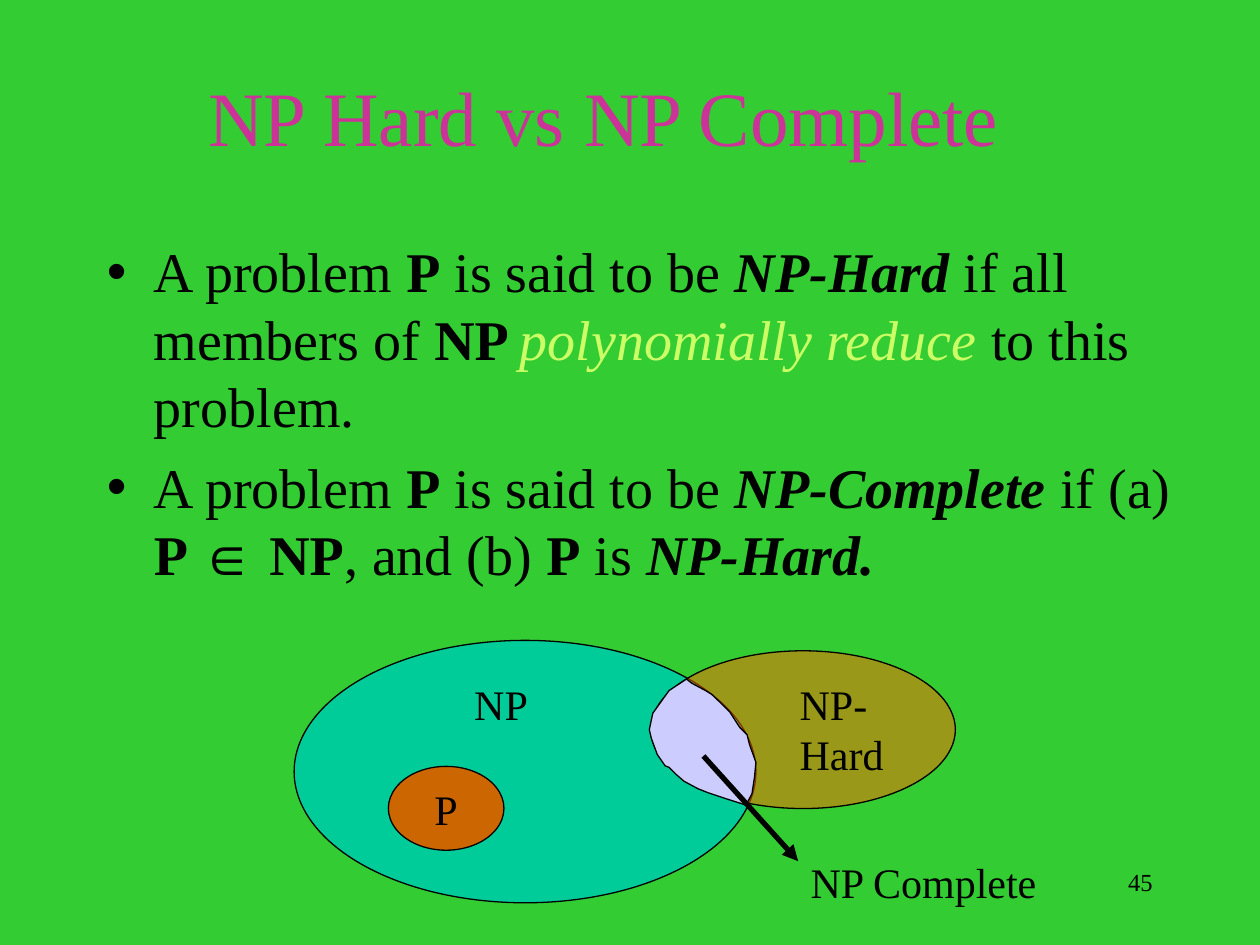
from lxml.etree import SubElement
from pptx import Presentation
from pptx.dml.color import RGBColor
from pptx.enum.shapes import MSO_CONNECTOR, MSO_SHAPE
from pptx.enum.text import MSO_ANCHOR, MSO_AUTO_SIZE, PP_ALIGN
from pptx.oxml.ns import qn
from pptx.util import Cm, Pt

FONT = "Times New Roman"
BLACK = RGBColor(0x00, 0x00, 0x00)
GREEN = RGBColor(0x33, 0xCC, 0x33)
MAGENTA = RGBColor(0xCC, 0x33, 0x99)
LIME = RGBColor(0xCC, 0xFF, 0x66)
TEAL = RGBColor(0x00, 0xCC, 0x99)
RUST = RGBColor(0xCC, 0x66, 0x00)
ORANGE = RGBColor(0xFF, 0x66, 0x00)
LAVENDER = RGBColor(0xCC, 0xCC, 0xFF)

# Each run is its text and its marks: b bold, i italic, h highlighted
DEFINITIONS = [
    [("A problem ", ""), ("P", "b"), (" is said to be ", ""), ("NP-Hard", "bi"),
     (" if all members of ", ""), ("NP ", "b"), ("polynomially reduce", "ih"),
     (" to this problem.", "")],
    [("A problem ", ""), ("P", "b"), (" is said to be ", ""), ("NP-Complete", "bi"),
     (" if (a) ", ""), ("P ", "b"), ("∈ ", ""), ("NP", "b"), (", and (b) ", ""),
     ("P", "b"), (" is ", ""), ("NP-Hard.", "bi")],
]

# Hand-drawn overlap of the two sets, in hundredths of a centimetre
OVERLAP = [
    (1384, 1369), (1349, 1392), (1336, 1410), (1316, 1438), (1309, 1471),
    (1313, 1488), (1325, 1521), (1341, 1544), (1349, 1547), (1364, 1562),
    (1379, 1575), (1407, 1590), (1427, 1598), (1463, 1610), (1504, 1623),
    (1516, 1600), (1521, 1567), (1524, 1537), (1511, 1501), (1506, 1481),
    (1491, 1466), (1471, 1435), (1458, 1422), (1435, 1400), (1422, 1392),
    (1394, 1377),
]


class SlideBuilder:
    def __init__(self, page):
        self.page = page
        page.background.fill.solid()
        page.background.fill.fore_color.rgb = GREEN

    def place(self, shape, left, top, width, height):
        shape.left, shape.top = Cm(left), Cm(top)
        shape.width, shape.height = Cm(width), Cm(height)

    def add_run(self, para, text, size, color=BLACK, marks=""):
        span = para.add_run()
        span.text = text
        font = span.font
        font.name, font.size = FONT, Pt(size)
        font.bold, font.italic = "b" in marks, "i" in marks
        font.color.rgb = LIME if "h" in marks else color

    def prepare_frame(self, shape, wrap=True, anchor=MSO_ANCHOR.TOP):
        frame = shape.text_frame
        frame.auto_size = MSO_AUTO_SIZE.NONE
        frame.word_wrap = wrap
        frame.vertical_anchor = anchor
        return frame

    def title(self, text, *area):
        box = self.page.shapes.title
        self.place(box, *area)
        para = self.prepare_frame(box).paragraphs[0]
        para.alignment = PP_ALIGN.CENTER
        self.add_run(para, text, 44, MAGENTA)

    def bullets(self, items, *area):
        box = self.page.placeholders[1]
        self.place(box, *area)
        frame = self.prepare_frame(box)
        for index, runs in enumerate(items):
            para = frame.add_paragraph() if index else frame.paragraphs[0]
            properties = para._p.get_or_add_pPr()
            properties.set("marL", str(Cm(0.95)))
            properties.set("indent", str(Cm(-0.95)))
            color = SubElement(properties, qn("a:buClr"))
            SubElement(color, qn("a:srgbClr"), val=str(BLACK))
            SubElement(properties, qn("a:buChar"), char="•")
            para.space_before = Pt(8 if index else 0)
            for text, marks in runs:
                self.add_run(para, text, 32, marks=marks)

    def label(self, text, *area, size=24, align=PP_ALIGN.LEFT):
        box = self.page.shapes.add_textbox(*map(Cm, area))
        para = self.prepare_frame(box).paragraphs[0]
        para.alignment = align
        self.add_run(para, text, size)

    def paint(self, shape, color):
        shape.shadow.inherit = False
        shape.fill.solid()
        shape.fill.fore_color.rgb = color
        shape.line.color.rgb = BLACK
        shape.line.width = Pt(0.75)

    def ellipse(self, color, *area, opacity=100, text=""):
        oval = self.page.shapes.add_shape(MSO_SHAPE.OVAL, *map(Cm, area))
        self.paint(oval, color)
        if opacity < 100:
            fill_color = oval._element.spPr.find(qn("a:solidFill"))[0]
            SubElement(fill_color, qn("a:alpha"), val=str(opacity * 1000))
        if text:
            frame = self.prepare_frame(oval, wrap=False, anchor=MSO_ANCHOR.MIDDLE)
            para = frame.paragraphs[0]
            para.alignment = PP_ALIGN.CENTER
            self.add_run(para, text, 24)

    def outline(self, points, color):
        builder = self.page.shapes.build_freeform(*points[0], scale=Cm(0.01))
        builder.add_line_segments(points[1:], close=True)
        self.paint(builder.convert_to_shape(), color)

    def arrow(self, *ends):
        line = self.page.shapes.add_connector(MSO_CONNECTOR.STRAIGHT, *map(Cm, ends))
        line.line.color.rgb = BLACK
        line.line.width = Pt(3)
        SubElement(line.line._get_or_add_ln(), qn("a:tailEnd"), type="triangle")
        SubElement(line._element.spPr, qn("a:effectLst"))


def main():
    deck = Presentation()
    deck.slide_width, deck.slide_height = Cm(25.4), Cm(19.05)
    slide = SlideBuilder(deck.slides.add_slide(deck.slide_layouts[1]))

    slide.label("45", 18.2, 17.36, 5.29, 1.27, size=14, align=PP_ALIGN.RIGHT)
    slide.bullets(DEFINITIONS, 1.9, 4.65, 22.86, 12.91)
    slide.title("NP Hard vs NP Complete", 2.75, 1.27, 18.84, 2.13)

    slide.ellipse(TEAL, 5.93, 12.91, 9.31, 5.29)
    slide.ellipse(RUST, 7.83, 15.45, 2.33, 1.69, text="P")
    slide.label("NP", 9.31, 13.55, 2.12, 1.27)
    slide.ellipse(ORANGE, 13.12, 13.12, 6.14, 3.18, opacity=50)
    slide.label("NP-Hard", 15.87, 13.55, 2.54, 2.29)
    slide.outline(OVERLAP, LAVENDER)
    slide.arrow(14.18, 15.24, 16.09, 17.36)
    slide.label("NP Complete", 16.09, 17.15, 5.71, 1.27)

    deck.save("out.pptx")


if __name__ == "__main__":
    main()
